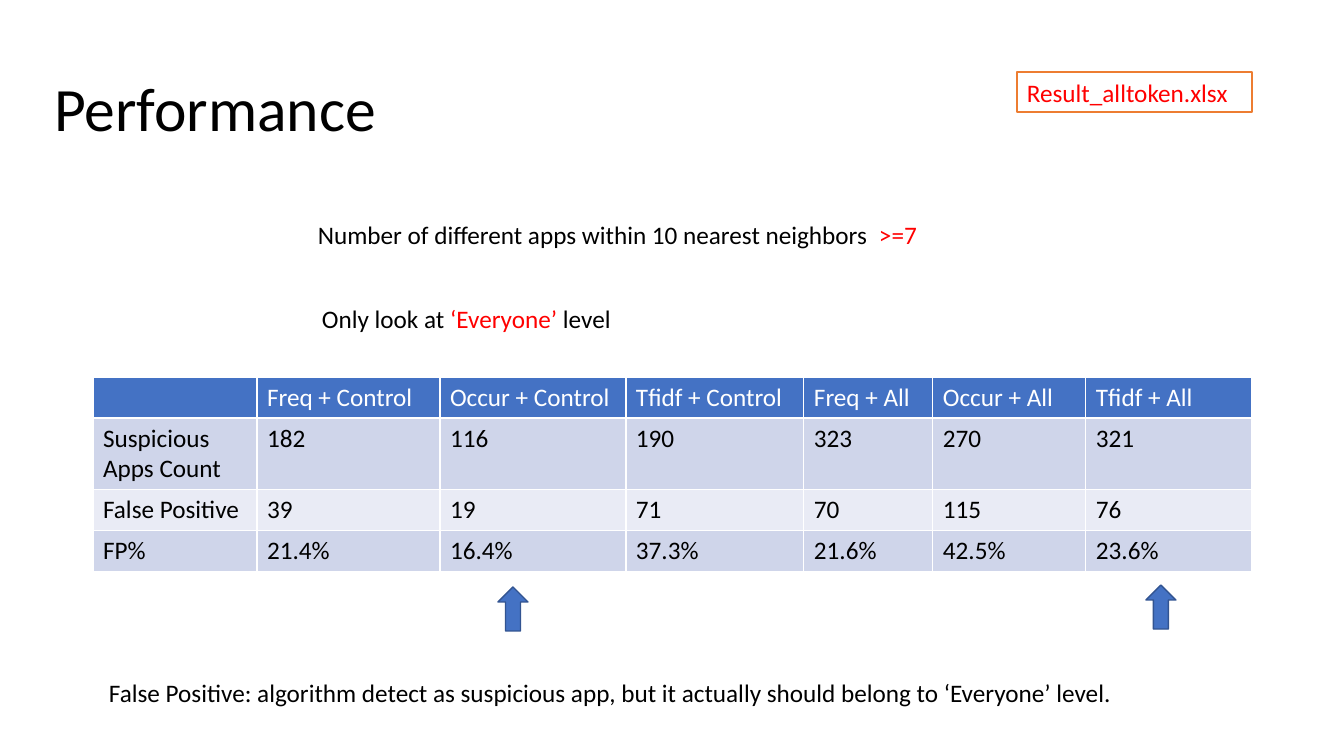
from dataclasses import dataclass

from pptx import Presentation
from pptx import util as u
from pptx.dml.color import RGBColor
from pptx.enum import shapes, text

TITLE = "Performance"
TITLE_AREA = (44, 39, 1159, 146)

# Each note: left, top, width, height, then (words, colour name) runs
NOTES = [
    ((308, 214, 631, 40),
     [("Number of different apps within 10 nearest neighbors  ", "ink"), (">=7", "alert")]),
    ((312, 298, 312, 40),
     [("Only look at ", "ink"), ("‘Everyone’ ", "alert"), ("level", "ink")]),
    ((99, 672, 1047, 40),
     [("False Positive: algorithm detect as suspicious app, "
       "but it actually should belong to ‘Everyone’ level.", "ink")]),
]

RESULT_FILE = "Result_alltoken.xlsx"
RESULT_AREA = (1017, 72, 235, 40)

RESULTS = [
    ["", "Freq + Control", "Occur + Control", "Tfidf + Control",
     "Freq + All", "Occur + All", "Tfidf + All"],
    ["Suspicious Apps Count", "182", "116", "190", "323", "270", "321"],
    ["False Positive", "39", "19", "71", "70", "115", "76"],
    ["FP%", "21.4%", "16.4%", "37.3%", "21.6%", "42.5%", "23.6%"],
]
RESULTS_CORNER = (93, 377)
COLUMN_WIDTHS = [164, 183, 186, 178, 129, 153, 166]
ROW_HEIGHTS = [41, 71, 41, 41]

BEST_ARROWS = [(498, 587, 30, 44), (1146, 585, 30, 44)]


@dataclass(frozen=True)
class Theme:
    font: str = "Calibri"
    title_size: int = 44
    body_size: int = 18
    ink: str = "000000"
    alert: str = "FF0000"
    paper: str = "FFFFFF"
    accent: str = "4472C4"
    accent_edge: str = "325491"
    box_edge: str = "ED7D31"
    bands: tuple = ("E9EBF5", "CFD5EA")


THEME = Theme()


def px(length):
    return u.Emu(round(length * 914400 / 100.8))


def area(box):
    return [px(length) for length in box]


def rgb(code):
    return RGBColor.from_string(code)


def add_run(paragraph, words, color, size=THEME.body_size):
    run = paragraph.add_run()
    run.text = words
    run.font.name = THEME.font
    run.font.size = u.Pt(size)
    run.font.bold = False
    run.font.color.rgb = rgb(color)


def add_preset(slide, preset, box, fill, edge):
    shape = slide.shapes.add_shape(preset, *area(box))
    shape.shadow.inherit = False
    shape.fill.solid()
    shape.fill.fore_color.rgb = rgb(fill)
    shape.line.color.rgb = rgb(edge)
    shape.line.width = u.Pt(1)
    return shape


def set_title(slide):
    title = slide.shapes.title
    title.left, title.top, title.width, title.height = area(TITLE_AREA)
    title.text_frame.vertical_anchor = text.MSO_ANCHOR.MIDDLE
    heading = title.text_frame.paragraphs[0]
    heading.alignment = text.PP_ALIGN.LEFT
    heading.line_spacing = 0.9
    add_run(heading, TITLE, THEME.ink, THEME.title_size)


def add_results(slide):
    size = (sum(COLUMN_WIDTHS), sum(ROW_HEIGHTS))
    table = slide.shapes.add_table(
        len(RESULTS), len(COLUMN_WIDTHS), *area(RESULTS_CORNER + size)).table
    for column, width in zip(table.columns, COLUMN_WIDTHS):
        column.width = px(width)
    for r, (row, height) in enumerate(zip(RESULTS, ROW_HEIGHTS)):
        table.rows[r].height = px(height)
        fill = THEME.bands[r % 2] if r else THEME.accent
        color = THEME.ink if r else THEME.paper
        for c, words in enumerate(row):
            cell = table.cell(r, c)
            cell.fill.solid()
            cell.fill.fore_color.rgb = rgb(fill)
            if words:
                add_run(cell.text_frame.paragraphs[0], words, color)


def add_note(slide, box, runs):
    frame = slide.shapes.add_textbox(*area(box)).text_frame
    frame.word_wrap = False
    frame.auto_size = text.MSO_AUTO_SIZE.SHAPE_TO_FIT_TEXT
    for words, color in runs:
        add_run(frame.paragraphs[0], words, getattr(THEME, color))


def add_result_file(slide):
    label = add_preset(slide, shapes.MSO_SHAPE.RECTANGLE, RESULT_AREA,
                       THEME.paper, THEME.box_edge)
    frame = label.text_frame
    frame.word_wrap = True
    frame.auto_size = text.MSO_AUTO_SIZE.SHAPE_TO_FIT_TEXT
    frame.vertical_anchor = text.MSO_ANCHOR.TOP
    frame.paragraphs[0].alignment = text.PP_ALIGN.LEFT
    add_run(frame.paragraphs[0], RESULT_FILE, THEME.alert)


def main():
    deck = Presentation()
    deck.slide_width, deck.slide_height = px(1344), px(756)
    slide = deck.slides.add_slide(deck.slide_layouts.get_by_name("Title Only"))
    set_title(slide)
    add_results(slide)
    for box, runs in NOTES:
        add_note(slide, box, runs)
    for box in BEST_ARROWS:
        add_preset(slide, shapes.MSO_SHAPE.UP_ARROW, box, THEME.accent, THEME.accent_edge)
    add_result_file(slide)
    deck.save("out.pptx")


if __name__ == "__main__":
    main()
